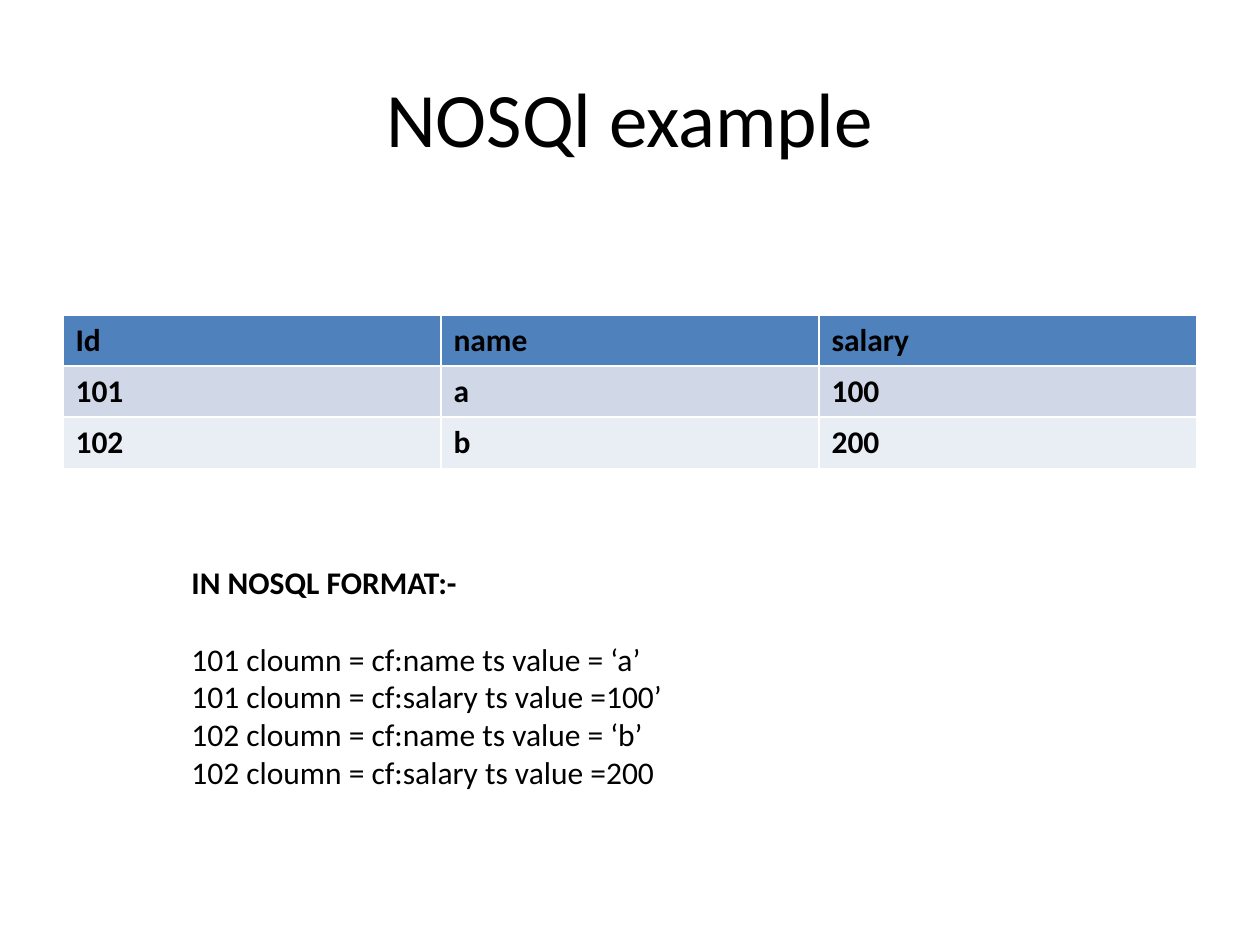
from pptx import Presentation
from pptx import util as u
from pptx.dml.color import RGBColor
from pptx.enum import text

COLORS = {"ink": "000000", "header": "4F81BD", "odd": "D0D8E8", "even": "E9EDF4"}


def write(frame, lines, size=18, bold=False, align=text.PP_ALIGN.LEFT, gap=0):
    """Add one paragraph per line, with a gap in points after the last one."""
    for line in lines:
        para = frame.paragraphs[0]
        if para.runs:
            para = frame.add_paragraph()
        para.alignment = align
        span = para.add_run()
        span.text = line
        span.font.name = "Calibri"
        span.font.size = u.Pt(size)
        span.font.bold = bold
        span.font.color.rgb = RGBColor.from_string(COLORS["ink"])
    para.space_after = u.Pt(gap)


class SlideBuilder:
    def __init__(self, page):
        self.page = page

    def textbox(self, left, top, width, height, wrap=True,
                anchor=text.MSO_ANCHOR.TOP, fit=text.MSO_AUTO_SIZE.NONE):
        area = [u.Cm(n) for n in (left, top, width, height)]
        frame = self.page.shapes.add_textbox(*area).text_frame
        frame.word_wrap = wrap
        frame.vertical_anchor = anchor
        frame.auto_size = fit
        return frame

    def table(self, left, top, width, height, rows):
        area = [u.Cm(n) for n in (left, top, width, height)]
        # The default table style supplies the white cell borders
        table = self.page.shapes.add_table(len(rows), len(rows[0]), *area).table
        for r, row in enumerate(rows):
            shade = "header" if r == 0 else ("even", "odd")[r % 2]
            for c, value in enumerate(row):
                cell = table.cell(r, c)
                cell.fill.solid()
                cell.fill.fore_color.rgb = RGBColor.from_string(COLORS[shade])
                write(cell.text_frame, [value], bold=True)


def main():
    deck = Presentation()
    deck.slide_width, deck.slide_height = u.Cm(25.4), u.Cm(19.05)
    builder = SlideBuilder(deck.slides.add_slide(deck.slide_layouts[6]))

    # Title
    title = builder.textbox(1.27, 0.76, 22.86, 3.18, anchor=text.MSO_ANCHOR.MIDDLE)
    write(title, ["NOSQl example"], size=44, align=text.PP_ALIGN.CENTER)

    # Relational table
    builder.table(1.27, 6.35, 22.86, 3.09, [
        ("Id", "name", "salary"),
        ("101", "a", "100"),
        ("102", "b", "200"),
    ])

    # The same records as column-family entries
    records = builder.textbox(3.61, 11.23, 10.11, 4.88, wrap=False,
                              fit=text.MSO_AUTO_SIZE.SHAPE_TO_FIT_TEXT)
    write(records, ["IN NOSQL FORMAT:-"], bold=True, gap=22)
    write(records, [
        "101 cloumn = cf:name ts value = ‘a’",
        "101 cloumn = cf:salary ts value =100’",
        "102 cloumn = cf:name ts value = ‘b’",
        "102 cloumn = cf:salary ts value =200",
    ])

    deck.save("out.pptx")


if __name__ == "__main__":
    main()
